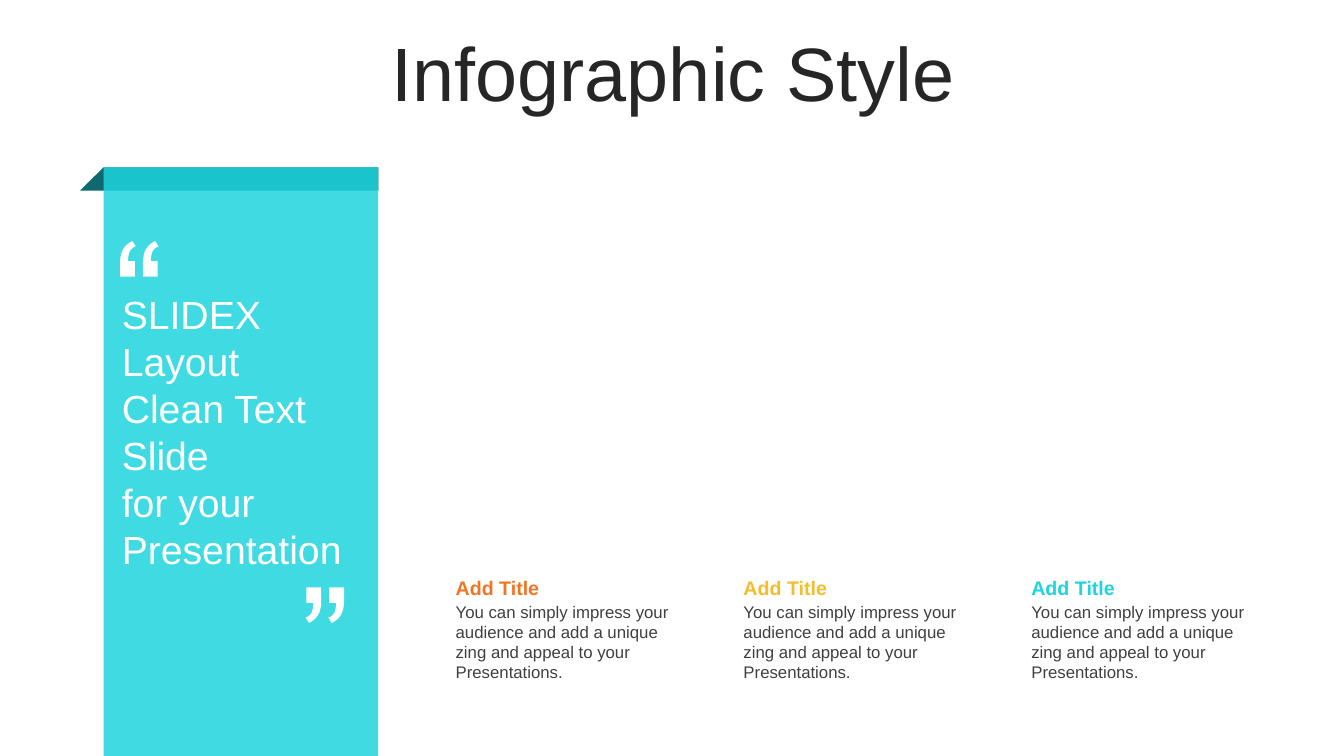
"""Build the Infographic Style slide with a quote banner and three captions."""
from dataclasses import dataclass

from lxml.etree import SubElement
from pptx import Presentation
from pptx.dml.color import RGBColor
from pptx.enum.shapes import MSO_SHAPE as Preset
from pptx.enum.text import MSO_ANCHOR as Anchor, MSO_AUTO_SIZE as AutoSize, PP_ALIGN as Align
from pptx.oxml.ns import qn
from pptx.shapes.autoshape import Shape
from pptx.slide import Slide
from pptx.text.text import TextFrame
from pptx.util import Pt

Point = tuple[float, float]

FONT = "Arial"
WHITE = "FFFFFF"
TURQUOISE = "1ED4DE"
CAPTION_LEFT = 318.4
CAPTION_STEP = 205.6
CAPTION_WIDTH = 170.6
CAPTION_BODY = (
    "You can simply impress your audience and add a unique "
    "zing and appeal to your Presentations."
)
MARK_GAP = 16.3
CURVE_STEPS = 8


@dataclass(frozen=True)
class Caption:
    title: str
    color: str


@dataclass(frozen=True)
class QuoteMark:
    left: float
    top: float
    direction: int


CAPTIONS = [
    Caption("Add Title", "F07624"),
    Caption("Add Title", "F4BD2D"),
    Caption("Add Title", TURQUOISE),
]
QUOTE_MARKS = [QuoteMark(85.8, 172.2, 1), QuoteMark(245.8, 444.9, -1)]


def rgb(color: str) -> RGBColor:
    """Turn a hex string into a colour."""
    return RGBColor.from_string(color)


def curve(start: Point, first: Point, second: Point, end: Point) -> list[Point]:
    """Return points along a cubic curve, without its start."""
    points = []
    for step in range(1, CURVE_STEPS + 1):
        t = step / CURVE_STEPS
        weights = ((1 - t) ** 3, 3 * t * (1 - t) ** 2, 3 * t**2 * (1 - t), t**3)
        corners = (start, first, second, end)
        points.append((
            sum(weight * x for weight, (x, _) in zip(weights, corners)),
            sum(weight * y for weight, (_, y) in zip(weights, corners)),
        ))
    return points


def quote_outline() -> list[Point]:
    """Return the outline of one half of a quote mark."""
    return [
        (8.8, 0), (11.2, 3.8),
        *curve((11.2, 3.8), (9.3, 4.4), (8, 5.6), (7, 7.2)),
        *curve((7, 7.2), (6.2, 8.8), (5.8, 11), (5.7, 14.3)),
        (10.6, 14.3), (10.6, 25.3), (0, 25.3), (0, 16.4),
        *curve((0, 16.4), (0, 11.8), (0.7, 8.3), (2, 6.2)),
        *curve((2, 6.2), (3.5, 3.5), (5.7, 1.4), (8.8, 0)),
    ]


def paint(shape: Shape, color: str, opacity: int = 100) -> None:
    """Give a shape a plain fill without line or shadow."""
    shape.shadow.inherit = False
    shape.line.fill.background()
    shape.fill.solid()
    shape.fill.fore_color.rgb = rgb(color)
    if opacity < 100:
        color_element = shape.fill._xPr.find(f"{qn('a:solidFill')}/{qn('a:srgbClr')}")
        SubElement(color_element, qn("a:alpha"), val=str(opacity * 1000))


def add_outline(slide: Slide, contours: list[list[Point]], color: str) -> None:
    """Draw closed contours as one filled freeform."""
    scaled = [[(Pt(x), Pt(y)) for x, y in contour] for contour in contours]
    builder = slide.shapes.build_freeform(*scaled[0][0])
    for index, contour in enumerate(scaled):
        if index:
            builder.move_to(*contour[0])
        builder.add_line_segments(contour[1:], close=True)
    paint(builder.convert_to_shape(), color)


def write(frame: TextFrame, text: str, *, size: float, color: str, bold: bool = False,
          align: Align = Align.LEFT, anchor: Anchor = Anchor.TOP,
          line_spacing: float = 1.0) -> None:
    """Write formatted text, one paragraph for each line."""
    frame.word_wrap = True
    frame.auto_size = AutoSize.NONE
    frame.vertical_anchor = anchor
    frame.text = text
    for paragraph in frame.paragraphs:
        paragraph.alignment = align
        paragraph.line_spacing = line_spacing
        paragraph.space_before = Pt(0)
        font = paragraph.font
        font.name, font.size, font.bold = FONT, Pt(size), bold
        font.color.rgb = rgb(color)


def add_text(slide: Slide, left: float, top: float, width: float, height: float,
             text: str, *, size: float, color: str, bold: bool = False) -> None:
    """Add a text box."""
    box = slide.shapes.add_textbox(Pt(left), Pt(top), Pt(width), Pt(height))
    write(box.text_frame, text, size=size, color=color, bold=bold)


def add_title(slide: Slide) -> None:
    """Place and format the title."""
    title = slide.shapes.title
    title.left, title.top, title.width, title.height = Pt(25.2), Pt(26.6), Pt(911.5), Pt(56.9)
    write(title.text_frame, "Infographic Style", size=54, color="262626",
          align=Align.CENTER, anchor=Anchor.MIDDLE, line_spacing=0.9)


def add_banner(slide: Slide) -> None:
    """Draw the folded banner with its quotation."""
    fold = [(74, 119.5), (270.2, 119.5), (270.2, 136.2), (57, 136.2)]
    add_outline(slide, [fold], "0F6A6F")
    banner = slide.shapes.add_shape(Preset.RECTANGLE, Pt(74), Pt(119.5), Pt(196.2), Pt(420.5))
    paint(banner, TURQUOISE, opacity=85)
    add_text(slide, 79.9, 203.8, 185, 211,
             "SLIDEX\nLayout\nClean Text Slide\nfor your\nPresentation",
             size=28, color=WHITE)


def add_caption(slide: Slide, index: int, caption: Caption) -> None:
    """Add one caption column."""
    left = CAPTION_LEFT + index * CAPTION_STEP
    add_text(slide, left, 426.2, CAPTION_WIDTH, 65.5, CAPTION_BODY, size=12, color="404040")
    add_text(slide, left, 407.5, CAPTION_WIDTH, 24.5, caption.title,
             size=14, color=caption.color, bold=True)


def add_quote_mark(slide: Slide, mark: QuoteMark) -> None:
    """Draw a double quote mark, turned round when its direction is negative."""
    contours = [
        [(mark.left + mark.direction * (x + shift), mark.top + mark.direction * y)
         for x, y in quote_outline()]
        for shift in (0, MARK_GAP)
    ]
    add_outline(slide, contours, WHITE)


def main() -> None:
    """Build and save the presentation."""
    presentation = Presentation()
    presentation.slide_width, presentation.slide_height = Pt(960), Pt(540)
    slide = presentation.slides.add_slide(presentation.slide_layouts[5])
    slide.background.fill.solid()
    slide.background.fill.fore_color.rgb = rgb(WHITE)
    add_title(slide)
    add_banner(slide)
    for index, caption in enumerate(CAPTIONS):
        add_caption(slide, index, caption)
    for mark in QUOTE_MARKS:
        add_quote_mark(slide, mark)
    presentation.save("out.pptx")


if __name__ == "__main__":
    main()
